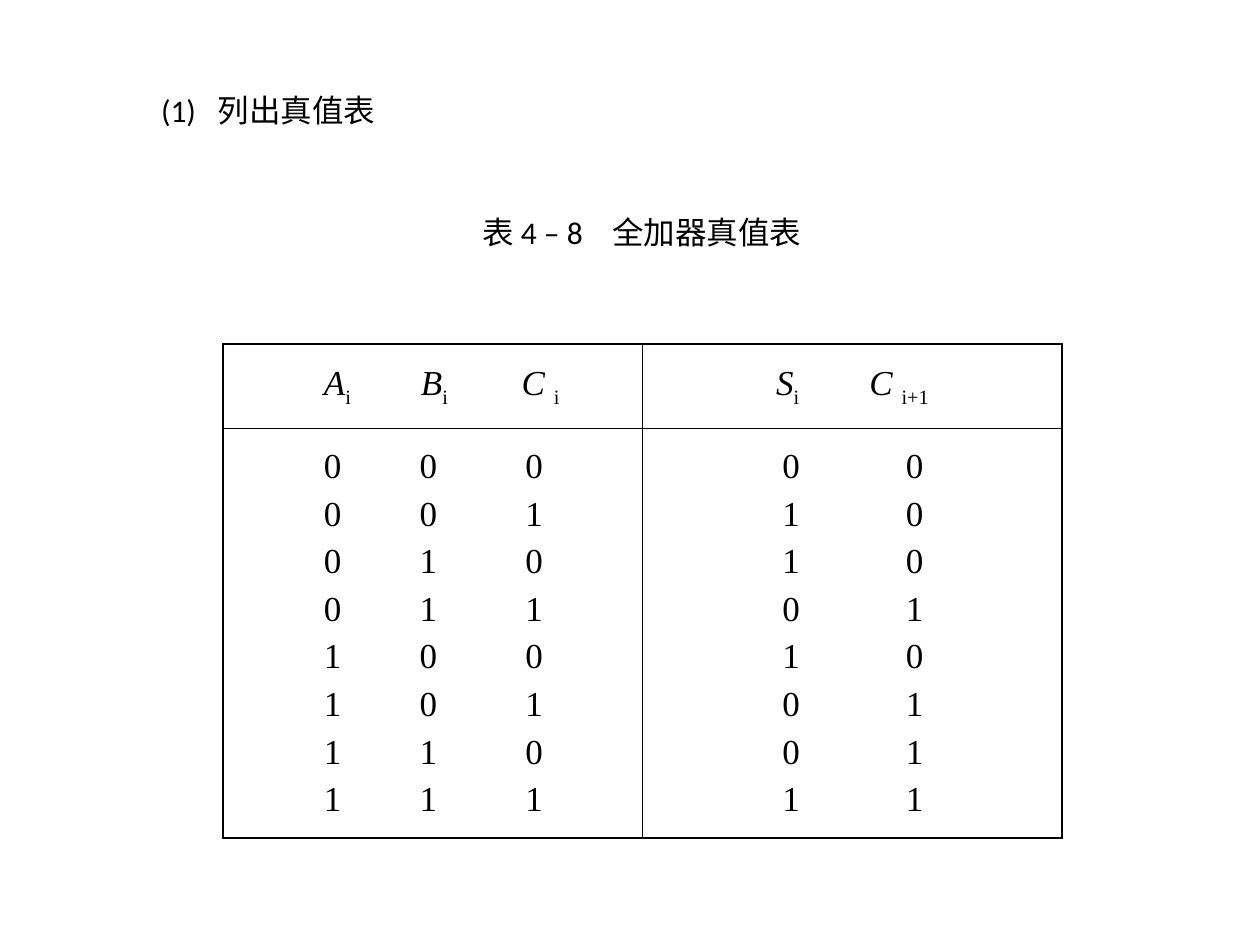
from lxml.etree import SubElement
from pptx import Presentation
from pptx.dml.color import RGBColor
from pptx.enum.text import MSO_ANCHOR as Anchor, MSO_AUTO_SIZE as Auto
from pptx.oxml.ns import qn
from pptx.util import Inches, Pt

INK = "000000"
THIN, THICK = 0.45, 1.08
ROWS, COLS = (0.67, 3.25), (3.33, 3.33)

# Each symbol is a name and its subscript.
HEADS = (
    ([("A", "i"), ("B", "i"), ("C ", "i")], (0.7, 1.47, 2.27)),
    ([("S", "i"), ("C ", "i+1")], (0.96, 1.7)),
)
BODIES = (
    (["000", "001", "010", "011", "100", "101", "110", "111"], (0.7, 1.46, 2.3)),
    (["00", "10", "10", "01", "10", "01", "01", "11"], (1.01, 1.99)),
)


def color(code):
    return RGBColor.from_string(code)


class Deck:
    def __init__(self):
        self.prs = Presentation()
        self.prs.slide_width, self.prs.slide_height = Inches(10), Inches(7.5)
        self.slide = self.prs.slides.add_slide(self.prs.slide_layouts[6])
        self.label = {"name": "Calibri", "size": Pt(18)}
        self.math = {"name": "Times New Roman", "size": Pt(20)}

    def tabs(self, para, stops):
        """Add left tab stops, given in inches."""
        group = SubElement(para._p.get_or_add_pPr(), qn("a:tabLst"))
        for stop in stops:
            SubElement(group, qn("a:tab"), pos=str(Inches(stop)), algn="l")

    def run(self, para, text, style, **extra):
        run = para.add_run()
        run.text = text
        for key, value in {**style, **extra}.items():
            setattr(run.font, key, value)
        run.font.color.rgb = color(INK)
        return run

    def text(self, x, y, w, h, words, stop):
        frame = self.slide.shapes.add_textbox(*map(Inches, (x, y, w, h))).text_frame
        frame.word_wrap, frame.auto_size = False, Auto.SHAPE_TO_FIT_TEXT
        para = frame.paragraphs[0]
        self.tabs(para, [stop])
        self.run(para, words, self.label)

    def table(self, x, y):
        size = sum(COLS), sum(ROWS)
        shape = self.slide.shapes.add_table(2, 2, *map(Inches, (x, y, *size)))
        table = shape.table
        table.first_row = table.horz_banding = False
        for col, wide in zip(table.columns, COLS):
            col.width = Inches(wide)
        for row, high in zip(table.rows, ROWS):
            row.height = Inches(high)
        for c, (head, body) in enumerate(zip(HEADS, BODIES)):
            self.head(table.cell(0, c), *head)
            self.body(table.cell(1, c), *body)
            for r in range(2):
                self.frame(table.cell(r, c), r, c)
        return table

    def head(self, cell, names, stops):
        para = cell.text_frame.paragraphs[0]
        self.tabs(para, stops)
        for name, sub in names:
            self.run(para, "\t" + name, self.math, italic=True)
            low = self.run(para, sub, self.math, italic=False)
            low.font._element.set("baseline", "-25000")

    def body(self, cell, lines, stops):
        frame = cell.text_frame
        for i, bits in enumerate(lines):
            para = frame.add_paragraph() if i else frame.paragraphs[0]
            self.tabs(para, stops)
            if i:
                para.space_before = Pt(5)
            self.run(para, "".join("\t" + bit for bit in bits), self.math)

    def frame(self, cell, r, c):
        """Draw thick outer and thin inner borders, with no fill."""
        cell.vertical_anchor = Anchor.MIDDLE
        outer = {"L": c == 0, "R": c == 1, "T": r == 0, "B": r == 1}
        props = cell._tc.get_or_add_tcPr()
        for side, edge in outer.items():
            width = str(Pt(THICK if edge else THIN))
            line = SubElement(props, qn("a:ln" + side), w=width)
            fill = SubElement(line, qn("a:solidFill"))
            SubElement(fill, qn("a:srgbClr"), val=INK)
        cell.fill.background()


def main():
    deck = Deck()
    deck.text(3.73, 1.64, 2.78, 0.4, "表 4 – 8\t全加器真值表", 1.03)
    deck.table(1.77, 2.73)
    deck.text(1.18, 0.67, 1.9, 0.4, "(1)\t列出真值表", 0.45)
    deck.prs.save("out.pptx")


if __name__ == "__main__":
    main()
